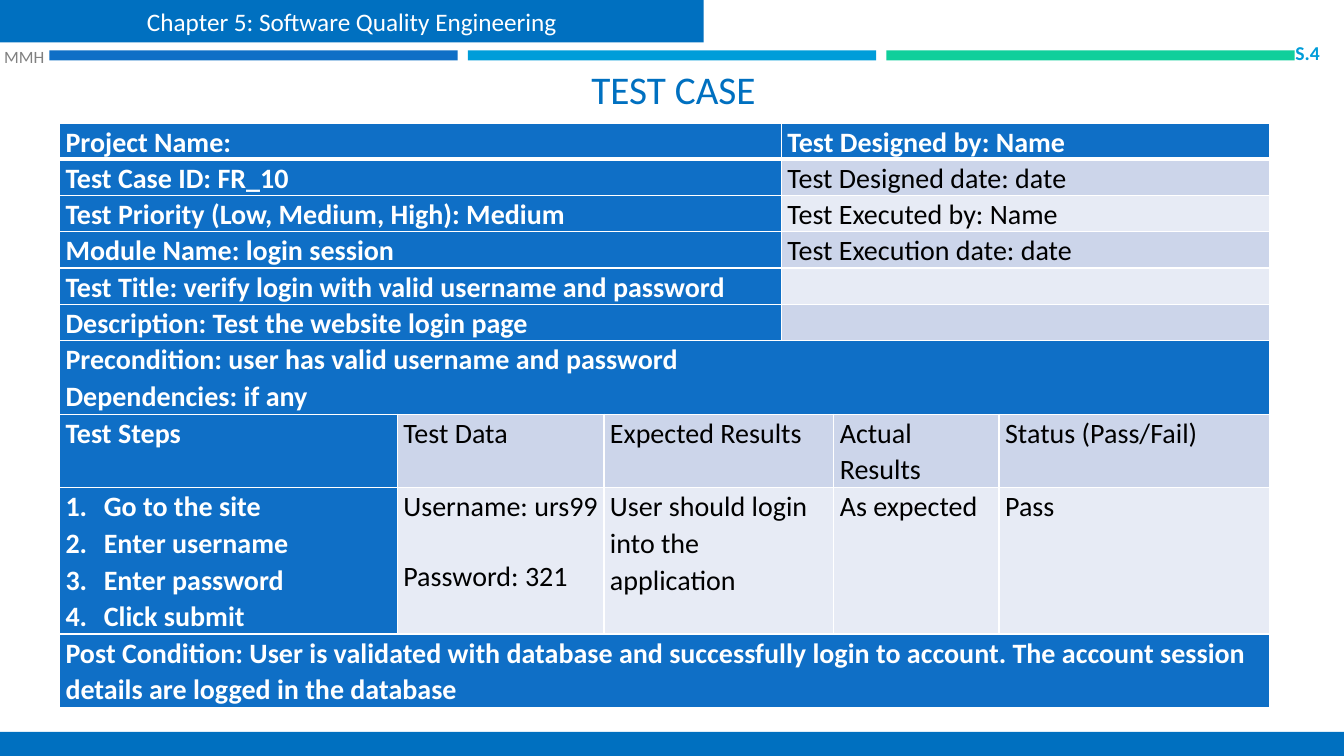
"""Build the test case slide."""
from lxml import etree
from pptx import Presentation
from pptx import util as u
from pptx.dml.color import RGBColor
from pptx.enum import shapes, text
from pptx.oxml import ns

BLUE = RGBColor(0x0F, 0x6F, 0xC6)
DEEP = RGBColor(0x00, 0x70, 0xC0)
SKY = RGBColor(0x00, 0x9D, 0xD9)
GREEN = RGBColor(0x10, 0xCF, 0x9B)
GRAY = RGBColor(0x80, 0x80, 0x80)
DARK = RGBColor(0xCC, 0xD5, 0xEA)
PALE = RGBColor(0xE7, 0xEB, 0xF5)
WHITE = RGBColor(0xFF, 0xFF, 0xFF)
BLACK = RGBColor(0x00, 0x00, 0x00)

COLS = [3.35, 2.05, 1.76, 0.52, 1.64, 2.68]
ROWS = [0.36] * 6 + [0.73, 0.73, 1.45, 0.73]
HALF = [(0, 2), (3, 5)]
FULL = [(0, 5)]
STEPS = [(0, 0), (1, 1), (2, 3), (4, 4), (5, 5)]
CELLS = [
    (HALF, ["Project Name:", "Test Designed by: Name"]),
    (HALF, ["Test Case ID: FR_10", "Test Designed date: date"]),
    (HALF, ["Test Priority (Low, Medium, High): Medium", "Test Executed by: Name"]),
    (HALF, ["Module Name: login session", "Test Execution date: date"]),
    (HALF, ["Test Title: verify login with valid username and password", ""]),
    (HALF, ["Description: Test the website login page", ""]),
    (FULL, [["Precondition: user has valid username and password",
             "Dependencies: if any"]]),
    (STEPS, ["Test Steps", "Test Data", "Expected Results", "Actual Results",
             "Status (Pass/Fail)"]),
    (STEPS, [["Go to the site", "Enter username", "Enter password", "Click submit"],
             "Username: urs99 \vPassword: 321",
             "User should login into the application", "As expected", "Pass"]),
    (FULL, ["Post Condition: User is validated with database and successfully login "
            "to account. The account session details are logged in the database"]),
]


class Deck:
    """Hold the style and the current slide."""

    font = "Calibri"

    def __init__(self):
        self.prs = Presentation()
        self.prs.slide_width = u.Inches(13.33)
        self.prs.slide_height = u.Inches(7.5)
        self.slide = self.prs.slides.add_slide(self.prs.slide_layouts[6])

    def put(self, frame, lines, size, color, bold=False, **form):
        """Fill a text frame and format its paragraphs and runs."""
        look = {"name": self.font, "size": u.Pt(size), "bold": bold}
        for i, line in enumerate(lines):
            para = frame.add_paragraph() if i else frame.paragraphs[0]
            para.text = line
            for key, val in form.items():
                setattr(para, key, val)
            for run in para.runs:
                run.font.color.rgb = color
                for key, val in look.items():
                    setattr(run.font, key, val)

    def bar(self, box, color):
        """Add a plain filled rectangle."""
        rect = self.slide.shapes.add_shape(
            shapes.MSO_SHAPE.RECTANGLE, *map(u.Inches, box))
        rect.shadow.inherit = False
        rect.fill.solid()
        rect.fill.fore_color.rgb = color
        rect.line.fill.background()
        return rect

    def label(self, box, line, size, color, align, side=0.1, bold=False,
              anchor=text.MSO_ANCHOR.MIDDLE):
        """Add a text box of one line."""
        frame = self.slide.shapes.add_textbox(*map(u.Inches, box)).text_frame
        form = {"word_wrap": True, "vertical_anchor": anchor,
                "margin_left": u.Inches(side), "margin_right": u.Inches(side)}
        for key, val in form.items():
            setattr(frame, key, val)
        self.put(frame, [line], size, color, bold, alignment=align)

    def edge(self, cell, base):
        """Draw white borders round a cell."""
        props = cell._tc.get_or_add_tcPr()
        for i, side in enumerate("LRTB"):
            width = base if side == "B" else 1
            line = etree.Element(ns.qn("a:ln" + side), w=str(u.Pt(width)))
            fill = etree.SubElement(line, ns.qn("a:solidFill"))
            etree.SubElement(fill, ns.qn("a:srgbClr"), val=str(WHITE))
            props.insert(i, line)

    def number(self, para):
        """Number a paragraph with a hanging indent."""
        props = para._p.get_or_add_pPr()
        props.set("marL", str(u.Inches(0.38)))
        props.set("indent", str(u.Inches(-0.38)))
        etree.SubElement(props, ns.qn("a:buFont"), typeface="+mj-lt")
        etree.SubElement(props, ns.qn("a:buAutoNum"), type="arabicPeriod")

    def table(self, left, top):
        """Add the test case table."""
        grid = self.slide.shapes.add_table(
            len(ROWS), len(COLS), *map(u.Inches, (left, top, sum(COLS), sum(ROWS)))).table
        grid.first_row = grid.horz_banding = False
        for col, width in zip(grid.columns, COLS):
            col.width = u.Inches(width)
        for row, high in zip(grid.rows, ROWS):
            row.height = u.Inches(high)
        pad = {"margin_left": u.Inches(0.06), "margin_right": u.Inches(0.06),
               "margin_top": 0, "margin_bottom": 0}
        for r, (spans, words) in enumerate(CELLS):
            for (a, b), word in zip(spans, words):
                head = r == 0 or a == 0
                tint = BLUE if head else DARK if r % 2 else PALE
                for c in range(a, b + 1):
                    cell = grid.cell(r, c)
                    for key, val in pad.items():
                        setattr(cell, key, val)
                    cell.fill.solid()
                    cell.fill.fore_color.rgb = tint
                    self.edge(cell, 1 if r else 3)
                cell = grid.cell(r, a)
                if b > a:
                    cell.merge(grid.cell(r, b))
                lines = word if isinstance(word, list) else [word]
                self.put(cell.text_frame, lines, 20, WHITE if head else BLACK,
                         head, line_spacing=1.07)
                if len(lines) > 2:
                    for para in cell.text_frame.paragraphs:
                        self.number(para)


def main():
    """Compose and save the slide."""
    deck = Deck()
    align = text.PP_ALIGN
    for i, color in enumerate([BLUE, SKY, GREEN]):
        deck.bar((0.49 + 4.15 * i, 0.5, 4.05, 0.1), color)
    deck.label((0.65, 0.46, 12.06, 0.7), "TEST CASE", 28, DEEP, align.CENTER,
               anchor=text.MSO_ANCHOR.BOTTOM)
    deck.table(0.59, 1.22)
    deck.label((12.66, 0.42, 0.53, 0.21), "S.4", 14, SKY, align.RIGHT, bold=True)
    deck.label((0, 0.41, 0.57, 0.3), "MMH", 12.3, GRAY, align.LEFT, side=0.04)
    top = deck.bar((0, 0, 6.98, 0.42), DEEP)
    top.text_frame.vertical_anchor = text.MSO_ANCHOR.MIDDLE
    deck.put(top.text_frame, ["Chapter 5: Software Quality Engineering"], 18, WHITE,
             alignment=align.CENTER)
    deck.bar((0, 7.26, 13.33, 0.24), DEEP)
    deck.prs.save("out.pptx")


if __name__ == "__main__":
    main()
